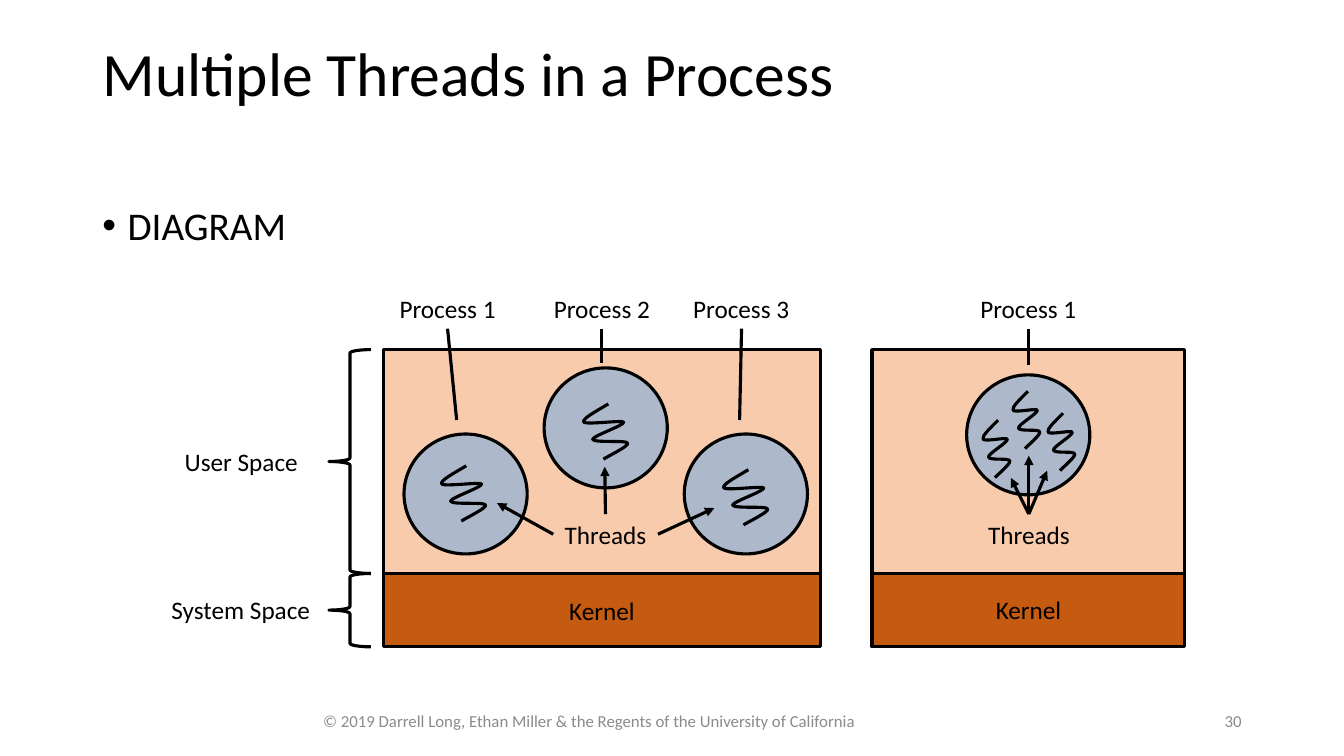
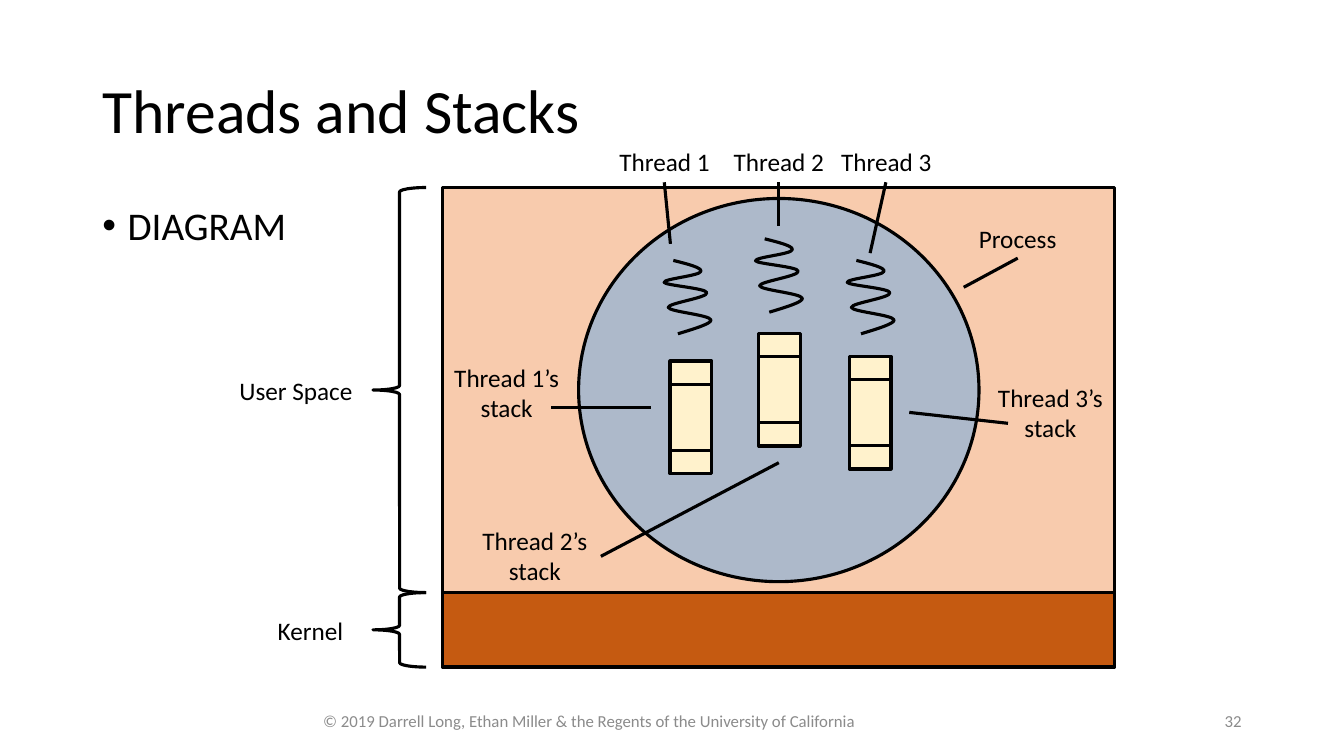
from lxml import etree
from pptx import Presentation
from pptx.dml.color import RGBColor
from pptx.enum.shapes import MSO_CONNECTOR, MSO_SHAPE
from pptx.enum.text import MSO_ANCHOR, MSO_AUTO_SIZE, PP_ALIGN
from pptx.oxml.ns import qn
from pptx.util import Pt

RECT, OVAL, BRACE = MSO_SHAPE.RECTANGLE, MSO_SHAPE.OVAL, MSO_SHAPE.LEFT_BRACE
STRAIGHT = MSO_CONNECTOR.STRAIGHT
LEFT, CENTER, RIGHT = PP_ALIGN.LEFT, PP_ALIGN.CENTER, PP_ALIGN.RIGHT
TOP, MIDDLE = MSO_ANCHOR.TOP, MSO_ANCHOR.MIDDLE

FONT = "Calibri"
COLORS = {"ink": "000000", "footer": "8B8B8B", "user": "F8CBAD",
          "kernel": "C55A11", "process": "ADB9CA", "stack": "FFF2CC"}
FOOTER = "© 2019 Darrell Long, Ethan Miller & the Regents of the University of California"
STACK_W, STACK_CELLS = 29.7, (16.7, 47, 16.7)

# Thread outlines in a unit box: a start point, then cubic Bézier segments
SHORT_THREAD = ((0.55, 0), [
    ((0.24, 0.15), (-0.04, 0.27), (0, 0.33)),
    ((0.07, 0.38), (0.87, 0.29), (0.89, 0.33)),
    ((0.93, 0.38), (0.2, 0.58), (0.2, 0.64)),
    ((0.22, 0.71), (0.96, 0.65), (0.98, 0.71)),
    ((1.02, 0.76), (0.53, 0.95), (0.44, 1)),
])
LONG_THREAD = ((0.2, 0), [
    ((0.52, 0.05), (0.83, 0.1), (0.8, 0.15)),
    ((0.78, 0.21), (-0.02, 0.25), (0, 0.3)),
    ((0.02, 0.34), (0.93, 0.38), (0.93, 0.44)),
    ((0.96, 0.51), (0.09, 0.58), (0.09, 0.64)),
    ((0.11, 0.7), (0.98, 0.74), (1.02, 0.81)),
    ((1.04, 0.86), (0.67, 0.93), (0.3, 1)),
])

# Panels and brace: x, width. Processes and threads: x, y, width, height.
# Labels: text, x, y, width, height. Lines: start x, y, end x, y.
SLIDES = [
    {
        "title": "Multiple Threads in a Process", "title_bottom": 56.3, "number": "30",
        "top": 249.7, "split": 409.6, "bottom": 462,
        "panels": [(273.7, 312.5), (622.9, 223.3)], "brace": (235, 30),
        "processes": [(288.6, 310, 88, 85.7), (388.7, 262.8, 88, 85.7),
                      (488.8, 310, 88, 85.7), (690.5, 267.8, 88, 85.7)],
        "curve": SHORT_THREAD,
        "threads": [(315.5, 332.7, 32, 39.5), (417, 288.5, 32, 39.5), (517, 335.5, 32, 39.5),
                    (702.2, 300.2, 19.5, 41), (723.6, 279.5, 19.5, 41),
                    (748.6, 295.2, 19.5, 41)],
        "stacks": [],
        "labels": [
            ("User Space", 120.3, 315, 104, 29), ("System Space", 113, 421, 118, 29),
            ("Kernel", 380, 422, 100, 29), ("Kernel", 682, 421, 105.4, 29),
            ("Threads", 395, 367.4, 75, 29), ("Threads", 695, 367.4, 80, 29),
            ("Process 1", 274, 206, 91.5, 29), ("Process 2", 384.2, 206, 91.5, 29),
            ("Process 3", 483.7, 206, 91.5, 29), ("Process 1", 688.8, 206, 91.5, 29),
        ],
        "lines": [(319.7, 234.8, 326.2, 300), (429.9, 234.8, 429.9, 259.2),
                  (529.7, 234.8, 528.3, 300), (734.8, 234.8, 734.8, 260.5)],
        "arrows": [(395.2, 381.6, 355, 359.3), (432.5, 367.2, 432, 333.4),
                   (470, 381.6, 510.3, 362.9), (734.9, 367.2, 722, 341.3),
                   (734.9, 367.2, 734.9, 325.5), (734.9, 367.2, 748, 336.2)],
    },
    {
        "title": "Threads and Stacks", "title_bottom": 3.6, "number": "32",
        "top": 134, "split": 423.3, "bottom": 476.5,
        "panels": [(316, 480.2)], "brace": (266.4, 38),
        "processes": [(413.3, 141.8, 286, 273.7)],
        "curve": LONG_THREAD,
        "threads": [(474.4, 186, 32.8, 52.4), (539.7, 170.6, 32.8, 52.4),
                    (605.2, 186, 32.8, 52.4)],
        "stacks": [(478.6, 257.9), (542, 238.2), (606.8, 254.6)],
        "labels": [
            ("User Space", 159.4, 264.4, 104, 29), ("Kernel", 172, 435.6, 99.4, 29),
            ("Process", 678.3, 156, 97.2, 29),
            ("Thread 1", 428.2, 101, 93, 29), ("Thread 2", 509.8, 101, 93, 29),
            ("Thread 3", 586.6, 101, 93, 29),
            ("Thread 1’s stack", 315.4, 255, 93, 51),
            ("Thread 2’s stack", 335.5, 371.5, 93, 51),
            ("Thread 3’s stack", 703.8, 269.4, 93, 51),
        ],
        "lines": [(474.5, 130.2, 478.9, 174.2), (556.3, 130.2, 556.3, 161.4),
                  (632.8, 130.2, 621.5, 180.8), (727, 184.4, 688.4, 205.2),
                  (393.6, 291, 465, 291), (429.2, 397.4, 556.3, 330.5),
                  (649.5, 294.6, 720, 302.4)],
        "arrows": [],
    },
]


def write(sp, text, size=18, color="ink", align=CENTER, anchor=TOP, spacing=1, bullet=False):
    tf = sp.text_frame
    tf.word_wrap = True
    tf.auto_size = MSO_AUTO_SIZE.NONE
    tf.vertical_anchor = anchor
    p = tf.paragraphs[0]
    p.alignment = align
    p.line_spacing = spacing
    p.space_before = Pt(0)
    if bullet:
        pPr = p._p.get_or_add_pPr()
        pPr.set("marL", str(Pt(18)))
        pPr.set("indent", str(-Pt(18)))
        etree.SubElement(pPr, qn("a:buChar")).set("char", "•")
    r = p.add_run()
    r.text = text
    r.font.name = FONT
    r.font.size = Pt(size)
    r.font.color.rgb = RGBColor.from_string(COLORS[color])


def outline(sp, fill=None):
    sp.shadow.inherit = False
    sp.line.color.rgb = RGBColor.from_string(COLORS["ink"])
    sp.line.width = Pt(2.25)
    if fill:
        sp.fill.solid()
        sp.fill.fore_color.rgb = RGBColor.from_string(COLORS[fill])
    else:
        sp.fill.background()


prs = Presentation()
prs.slide_width, prs.slide_height = Pt(960), Pt(540)
layout = prs.slide_layouts[1]

for d in SLIDES:
    s = prs.slides.add_slide(layout)

    # Title, list and footers
    title, body = s.shapes.title, s.placeholders[1]
    for sp, box in ((title, (66, 28.8, 828, 104.4)), (body, (66, 144, 828, 342.7))):
        sp.left, sp.top, sp.width, sp.height = map(Pt, box)
    write(title, d["title"], size=44, align=LEFT, anchor=MIDDLE, spacing=0.9)
    title.text_frame.margin_bottom = Pt(d["title_bottom"])
    write(body, "DIAGRAM", size=28, align=LEFT, spacing=0.9, bullet=True)
    for text, x, w, align in ((FOOTER, 219, 404, CENTER), (d["number"], 678, 216, RIGHT)):
        sp = s.shapes.add_textbox(Pt(x), Pt(500.4), Pt(w), Pt(28.8))
        write(sp, text, size=12, color="footer", align=align, anchor=MIDDLE)

    # Memory panels, braces, processes and stacks
    shapes = []
    for y, end, fill in ((d["top"], d["split"], "user"), (d["split"], d["bottom"], "kernel")):
        shapes += [(RECT, (x, y, w, end - y), fill) for x, w in d["panels"]]
        x, w = d["brace"]
        shapes.append((BRACE, (x, y, w, end - y), None))
    shapes += [(OVAL, box, "process") for box in d["processes"]]
    for x, y in d["stacks"]:
        for h in STACK_CELLS:
            shapes.append((RECT, (x, y, STACK_W, h), "stack"))
            y += h
    for preset, box, fill in shapes:
        outline(s.shapes.add_shape(preset, *map(Pt, box)), fill)

    # Threads: each straight segment becomes a Bézier curve
    start, segments = d["curve"]
    for x, y, w, h in d["threads"]:
        track = [(Pt(x + w * px), Pt(y + h * py))
                 for px, py in [start] + [segment[-1] for segment in segments]]
        builder = s.shapes.build_freeform(*track[0])
        builder.add_line_segments(track[1:], close=False)
        sp = builder.convert_to_shape()
        outline(sp)
        for step, segment in zip(list(sp._element.iter(qn("a:lnTo"))), segments):
            curve = etree.Element(qn("a:cubicBezTo"))
            for px, py in segment:
                pt = etree.SubElement(curve, qn("a:pt"))
                pt.set("x", str(Pt(x + w * px) - sp.left))
                pt.set("y", str(Pt(y + h * py) - sp.top))
            step.getparent().replace(step, curve)

    # Labels
    for text, *box in d["labels"]:
        write(s.shapes.add_textbox(*map(Pt, box)), text)

    # Lines and arrows
    for kind in ("lines", "arrows"):
        for ends in d[kind]:
            line = s.shapes.add_connector(STRAIGHT, *map(Pt, ends))
            line.line.color.rgb = RGBColor.from_string(COLORS["ink"])
            line.line.width = Pt(2.25)
            spPr = line._element.spPr
            if kind == "arrows":
                etree.SubElement(spPr.find(qn("a:ln")), qn("a:tailEnd")).set("type", "triangle")
            etree.SubElement(spPr, qn("a:effectLst"))

prs.save("out.pptx")
